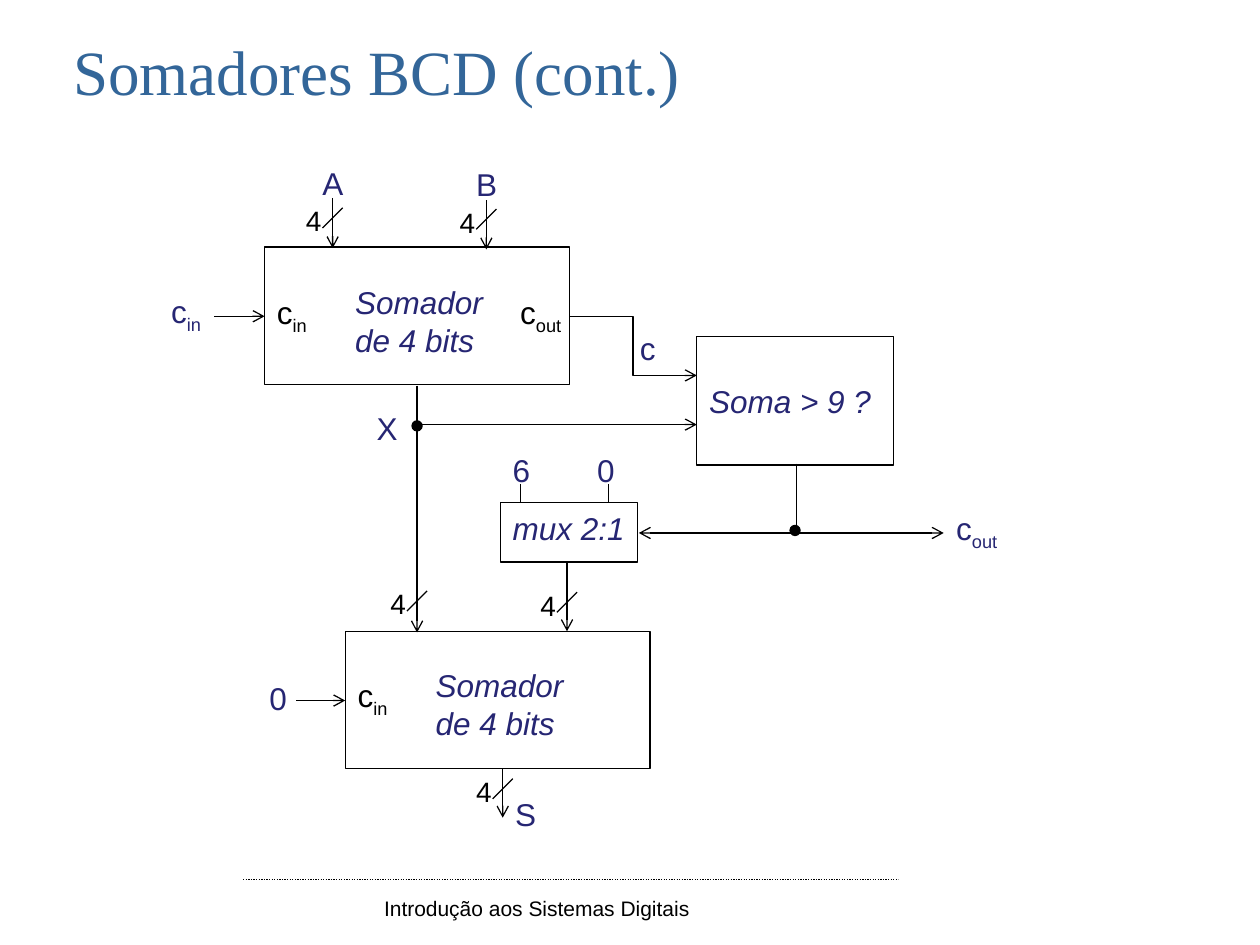
from pptx import Presentation
from pptx import util as u
from pptx.dml.color import RGBColor
from pptx.enum import dml, shapes, text
from pptx.oxml.ns import qn
from lxml import etree

PX = 9144  # 100 px to the inch
INK = {"black": "000000", "navy": "262673", "title": "336699"}

deck = Presentation()
deck.slide_width, deck.slide_height = 1000 * PX, 750 * PX
slide = deck.slides.add_slide(deck.slide_layouts[6])
kit = slide.shapes


def write(words, x, y, w, h, host=None, size=18, ink="navy", font="Arial",
          slant=False, align="LEFT", anchor="TOP", wrap=False):
    """Put words in host or a new text box; "_" starts a subscript."""
    host = host or kit.add_textbox(x * PX, y * PX, w * PX, h * PX)
    frame = host.text_frame
    frame.word_wrap = wrap
    frame.vertical_anchor = text.MSO_ANCHOR[anchor]
    for i, line in enumerate(words.split("\n")):
        para = frame.add_paragraph() if i else frame.paragraphs[0]
        para.alignment = text.PP_ALIGN[align]
        for j, part in enumerate(line.split("_")):
            run = para.add_run()
            run.text = part
            run.font.size = u.Pt(size)
            run.font.name = font
            run.font.italic = slant
            run.font.color.rgb = RGBColor.from_string(INK[ink])
            if j:
                run.font._element.set("baseline", "-25000")


def wire(x1, y1, x2, y2, arrow=False, kind="STRAIGHT"):
    link = kit.add_connector(shapes.MSO_CONNECTOR[kind],
                             x1 * PX, y1 * PX, x2 * PX, y2 * PX)
    link.line.width = u.Pt(0.75)
    link.line.color.rgb = RGBColor.from_string(INK["black"])
    props = link._element.spPr
    if arrow:
        etree.SubElement(props.find(qn("a:ln")), qn("a:tailEnd"), type="arrow")
    etree.SubElement(props, qn("a:effectLst"))
    return link


# Footer and title
rule = wire(193, 698, 713, 698)
rule.line.dash_style = dml.MSO_LINE.ROUND_DOT
write("Introdução aos Sistemas Digitais", 295, 706, 276, 30,
      size=12, ink="black", wrap=True)
write("Somadores BCD (cont.)", 39, 21, 520, 47, size=36, ink="title",
      font="Times New Roman", align="CENTER")

# Blocks
for x, y, w, h, label, anchor in [
    (210, 196, 242, 109, "", "TOP"),
    (274, 501, 242, 109, "", "TOP"),
    (553, 267, 156, 102, "Soma > 9 ?", "MIDDLE"),
    (397, 399, 109, 47, "mux 2:1", "TOP"),
]:
    box = kit.add_shape(shapes.MSO_SHAPE.RECTANGLE, x * PX, y * PX, w * PX, h * PX)
    box.shadow.inherit = False
    box.fill.background()
    box.line.width = u.Pt(0.75)
    box.line.color.rgb = RGBColor.from_string(INK["black"])
    if label:
        write(label, x, y, w, h, host=box, slant=True, anchor=anchor, wrap=True)

# Adder names and carry pins
for x, y in [(210, 228), (274, 532)]:
    write("Somador\nde 4 bits", x + 62, y - 8, 123, 71, slant=True)
    write("c_in", x, y, 46, 40, ink="black")
write("c_out", 403, 228, 56, 40, ink="black")

# Four-bit buses: x, start, end, foot of the slash
for x, top, end, foot in [
    (264, 157, 197, 181),
    (386, 159, 198, 182),
    (331, 306, 502, 485),
    (450, 447, 501, 486),
    (399, 610, 649, 634),
]:
    wire(x, top, x, end, arrow=True)
    wire(x - 8, foot, x + 8, foot - 16)
    write("4", x - 31, foot - 24, 33, 37, size=16, ink="black")

# Single wires
for x1, x2, y in [(170, 210, 251), (235, 274, 556), (335, 553, 337), (631, 749, 423)]:
    wire(x1, y, x2, y, arrow=True)
for x in (413, 483):
    wire(x, 384, x, 399)
wire(452, 251, 553, 298, arrow=True, kind="ELBOW")

# One-bend wire from the comparator to the mux: a quarter turn of its frame
bend = wire(542, 333, 597, 458, arrow=True, kind="ELBOW")
bend._element.spPr.find(qn("a:prstGeom")).set("prst", "bentConnector2")
bend._element.spPr.find(qn("a:xfrm")).set("rot", "5400000")

# Junctions
for x, y in [(327, 334), (627, 417)]:
    dot = kit.add_shape(shapes.MSO_SHAPE.OVAL, x * PX, y * PX, 8 * PX, 8 * PX)
    dot.shadow.inherit = False
    dot.fill.solid()
    dot.fill.fore_color.rgb = RGBColor.from_string(INK["black"])
    dot.line.width = u.Pt(0.75)
    dot.line.color.rgb = RGBColor.from_string(INK["black"])

# Signal names
for name, x, y, w in [
    ("A", 246, 125, 37),
    ("B", 368, 126, 37),
    ("c_in", 126, 227, 46),
    ("c", 498, 256, 33),
    ("X", 289, 320, 37),
    ("6", 397, 353, 34),
    ("0", 464, 353, 34),
    ("c_out", 749, 399, 56),
    ("0", 204, 534, 34),
    ("S", 399, 626, 37),
]:
    write(name, x, y, w, 40)

deck.save("out.pptx")
